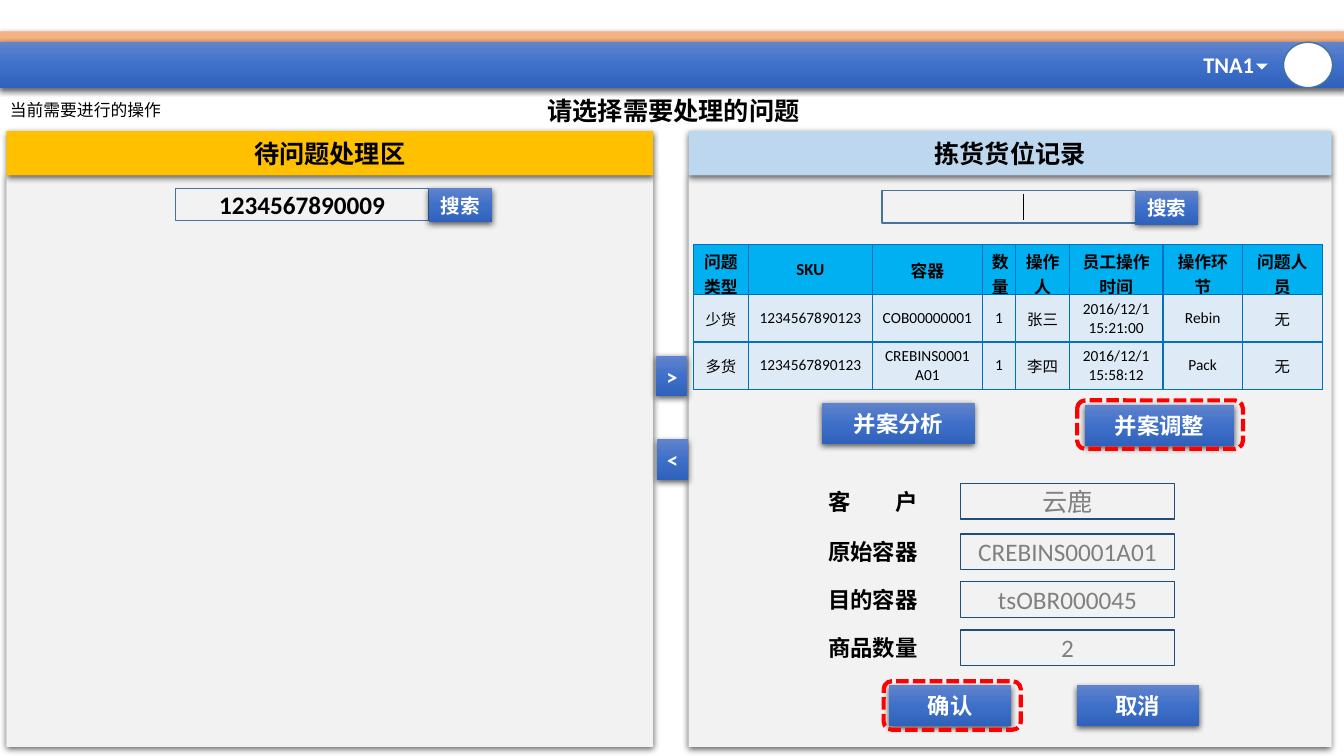
from copy import deepcopy
from lxml.etree import SubElement
from pptx import Presentation
from pptx.dml.color import RGBColor
from pptx.enum.dml import MSO_LINE as Dash
from pptx.enum.shapes import MSO_CONNECTOR as Link, MSO_SHAPE as Form
from pptx.enum.text import MSO_ANCHOR as Anchor, PP_ALIGN as Align
from pptx.oxml.ns import qn
from pptx.util import Pt

WHITE = RGBColor(0xFF, 0xFF, 0xFF)
BLACK = RGBColor(0, 0, 0)
PEACH = RGBColor(0xF4, 0xB1, 0x83)
PANEL = RGBColor(0xF2, 0xF2, 0xF2)
AMBER = RGBColor(0xFF, 0xC0, 0x00)
SKY = RGBColor(0xBD, 0xD7, 0xEE)
STEEL = RGBColor(0x43, 0x73, 0x9E)
NAVY = RGBColor(0x1F, 0x4E, 0x79)
GREY = RGBColor(0x80, 0x80, 0x80)
RED = RGBColor(0xFF, 0x00, 0x00)
CYAN = RGBColor(0x00, 0xB0, 0xF0)
PALE = RGBColor(0xDE, 0xEB, 0xF7)
EDGE = RGBColor(0x00, 0x70, 0xC0)
BLUES = [RGBColor(0x61, 0x83, 0xCB), RGBColor(0x3E, 0x70, 0xCA),
         RGBColor(0x30, 0x62, 0xBB)]

deck = Presentation()
deck.slide_width, deck.slide_height = Pt(960), Pt(540)
slide = deck.slides.add_slide(deck.slide_layouts[6])
shapes = slide.shapes


def write(frame, text, size, color=BLACK, bold=True, align=Align.CENTER):
    frame.text = text
    for para in frame.paragraphs:
        para.alignment = align
        for run in para.runs:
            font = run.font
            font.name, font.size, font.bold = "Calibri", Pt(size), bold
            font.color.rgb = color


def box(x, y, w, h, fill=None, line=None, weight=1, form=Form.RECTANGLE,
        shade=False):
    """Fill is a colour, a list of gradient colours, or None."""
    shape = shapes.add_shape(form, Pt(x), Pt(y), Pt(w), Pt(h))
    shape.shadow.inherit = False
    props = shape._element.spPr
    if fill is None:
        shape.fill.background()
    elif isinstance(fill, list):
        shape.fill.gradient()
        shape.fill.gradient_angle = 270
        stops = props.find(".//" + qn("a:gsLst"))
        stops.insert(1, deepcopy(stops[0]))
        for i, stop in enumerate(shape.fill.gradient_stops):
            stop.color.rgb, stop.position = fill[i], i / 2
    else:
        shape.fill.solid()
        shape.fill.fore_color.rgb = fill
    if line is None:
        shape.line.fill.background()
    else:
        shape.line.color.rgb, shape.line.width = line, Pt(weight)
    if shade:
        drop = SubElement(props.find(qn("a:effectLst")), qn("a:outerShdw"),
                          blurRad=str(Pt(4.5)), dist=str(Pt(1.5)),
                          dir="5400000", algn="ctr", rotWithShape="0")
        tint = SubElement(drop, qn("a:srgbClr"), val="000000")
        SubElement(tint, qn("a:alpha"), val="63000")
    shape.text_frame.word_wrap = True
    shape.text_frame.vertical_anchor = Anchor.MIDDLE
    return shape


# Top bar with user menu
box(0, 22.4, 960, 8, PEACH, shade=True)
box(0, 30.2, 960, 32.6, BLUES, shade=True)
box(916.8, 30.2, 35, 32.4, WHITE, STEEL, form=Form.OVAL)
user = shapes.add_textbox(Pt(852.5), Pt(33.2), Pt(51), Pt(26.6))
user.text_frame.word_wrap = False
write(user.text_frame, "TNA1", 16, WHITE, align=Align.LEFT)
arrow = box(898.4, 42.4, 6, 6, WHITE, form=Form.RIGHT_TRIANGLE)
arrow.rotation = 314.5

# Panels with headers
for x, w, color, title in [(4.6, 462, AMBER, "待问题处理区"),
                           (491.8, 459.4, SKY, "拣货货位记录")]:
    box(x, 125.2, w, 408.4, PANEL, shade=True)
    head = box(x, 93.6, w, 31.7, color, shade=True)
    write(head.text_frame, title, 18)

# Search fields
for x, y, code in [(125.3, 134.6, "1234567890009"), (630, 136.2, "")]:
    field = box(x, y, 181, 23, line=STEEL)
    if code:
        write(field.text_frame, code, 18)
caret = shapes.add_connector(Link.STRAIGHT, Pt(731.2), Pt(138.6),
                             Pt(731.2), Pt(157))
caret.line.color.rgb, caret.line.width = BLACK, Pt(0.75)
SubElement(caret._element.spPr, qn("a:effectLst"))

# Prompt line
for x, w, text, size, bold, align in [
        (0, 130, "当前需要进行的操作", 12, False, Align.LEFT),
        (1, 960, "请选择需要处理的问题", 18, True, Align.CENTER)]:
    note = shapes.add_textbox(Pt(x), Pt(64.2), Pt(w), Pt(28.8))
    note.text_frame.word_wrap = True
    note.text_frame.vertical_anchor = Anchor.MIDDLE
    write(note.text_frame, text, size, bold=bold, align=align)

# Buttons
for x, y, w, h, text, size in [
        (306.5, 134.6, 45, 24, "搜索", 14), (811, 136.4, 45, 24, "搜索", 14),
        (468.8, 254.2, 22.3, 29, ">", 16), (469.4, 313.8, 22.3, 29, "<", 16),
        (587.2, 288, 109, 29, "并案分析", 16),
        (775, 289.4, 106.6, 29, "并案调整", 16),
        (635, 489.6, 87.4, 29, "确认", 16), (769, 489.6, 87.4, 29, "取消", 16)]:
    button = box(x, y, w, h, BLUES, shade=True)
    write(button.text_frame, text, size, WHITE)

# Record table
rows = [
    ["问题类型", "SKU", "容器", "数量", "操作人", "员工操作时间", "操作环节",
     "问题人员"],
    ["少货", "1234567890123", "COB00000001", "1", "张三",
     "2016/12/1\n15:21:00", "Rebin", "无"],
    ["多货", "1234567890123", "CREBINS0001A01", "1", "李四",
     "2016/12/1\n15:58:12", "Pack", "无"]]
widths = [39.2, 88.6, 78.6, 23.8, 38.4, 66.8, 56.8, 57]
heights = [28.8, 33.4, 33.4]
grid = shapes.add_table(3, 8, Pt(495.4), Pt(174.6), Pt(sum(widths)),
                        Pt(103)).table
for col, w in zip(grid.columns, widths):
    col.width = Pt(w)
for r, row in enumerate(rows):
    grid.rows[r].height = Pt(heights[r])
    for c, text in enumerate(row):
        cell = grid.cell(r, c)
        cell.vertical_anchor = Anchor.MIDDLE
        cell.margin_left = cell.margin_right = Pt(6.8)
        write(cell.text_frame, text, 11 if r else 12, bold=r == 0)
        props = cell._tc.get_or_add_tcPr()
        for side in ("a:lnL", "a:lnR", "a:lnT", "a:lnB"):
            rule = SubElement(props, qn(side), w=str(Pt(1)))
            ink = SubElement(rule, qn("a:solidFill"))
            SubElement(ink, qn("a:srgbClr"), val=str(EDGE))
        cell.fill.solid()
        cell.fill.fore_color.rgb = PALE if r else CYAN

# Form: labels and values
for y, name, value in [(345.4, "客\t户", "云鹿"),
                       (381.4, "原始容器", "CREBINS0001A01"),
                       (415.6, "目的容器", "tsOBR000045"),
                       (450, "商品数量", "2")]:
    label = shapes.add_textbox(Pt(584.6), Pt(y), Pt(111), Pt(28))
    label.text_frame.word_wrap = True
    label.text_frame.vertical_anchor = Anchor.MIDDLE
    write(label.text_frame, name, 16, align=Align.LEFT)
    para = label.text_frame.paragraphs[0]
    para.line_spacing = 0.9
    if "\t" in name:
        tabs = SubElement(para._p.get_or_add_pPr(), qn("a:tabLst"))
        SubElement(tabs, qn("a:tab"), pos=str(Pt(48)), algn="l")
    field = box(686, y, 153, 25.4, line=NAVY)
    write(field.text_frame, value, 18, GREY, bold=False)

# Dashed highlights
for x, y, w in [(631.2, 486.6, 98), (769.4, 286, 118.4)]:
    mark = box(x, y, w, 34.6, line=RED, weight=3, form=Form.ROUNDED_RECTANGLE)
    mark.line.dash_style = Dash.SQUARE_DOT

deck.save("out.pptx")
